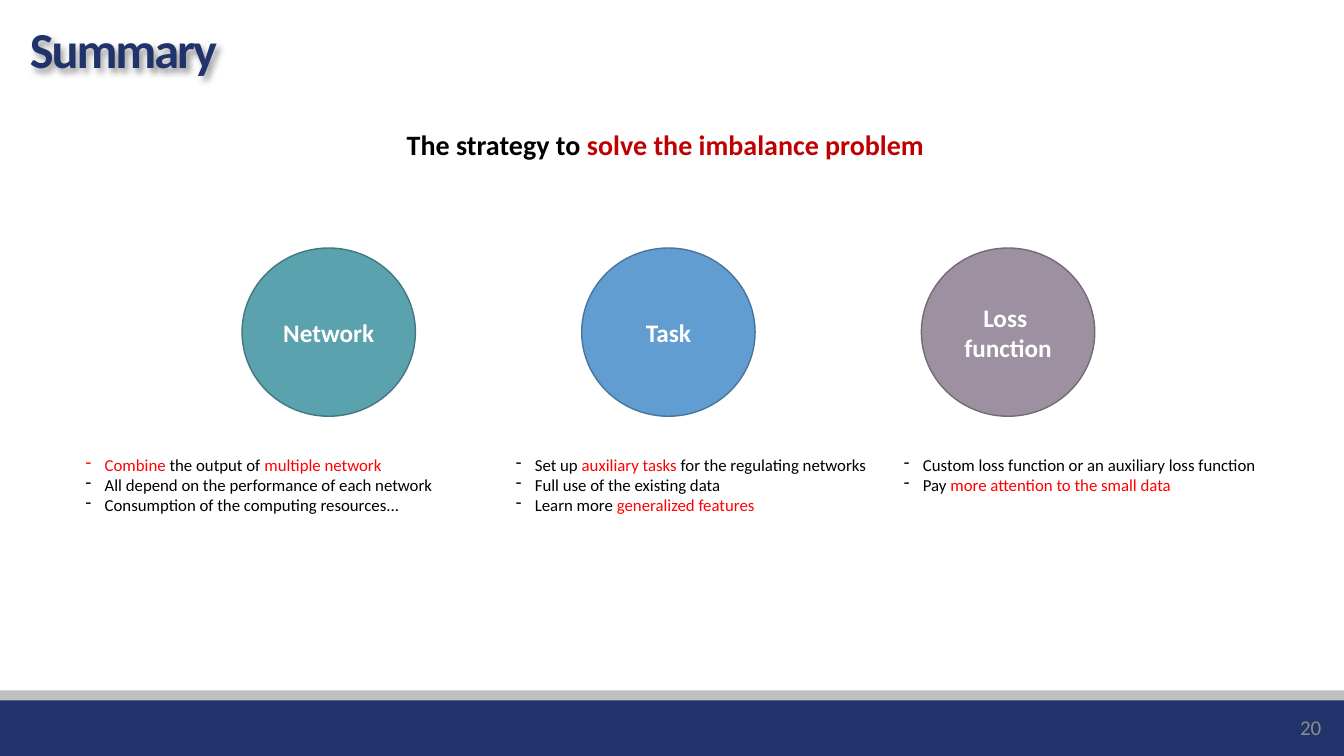
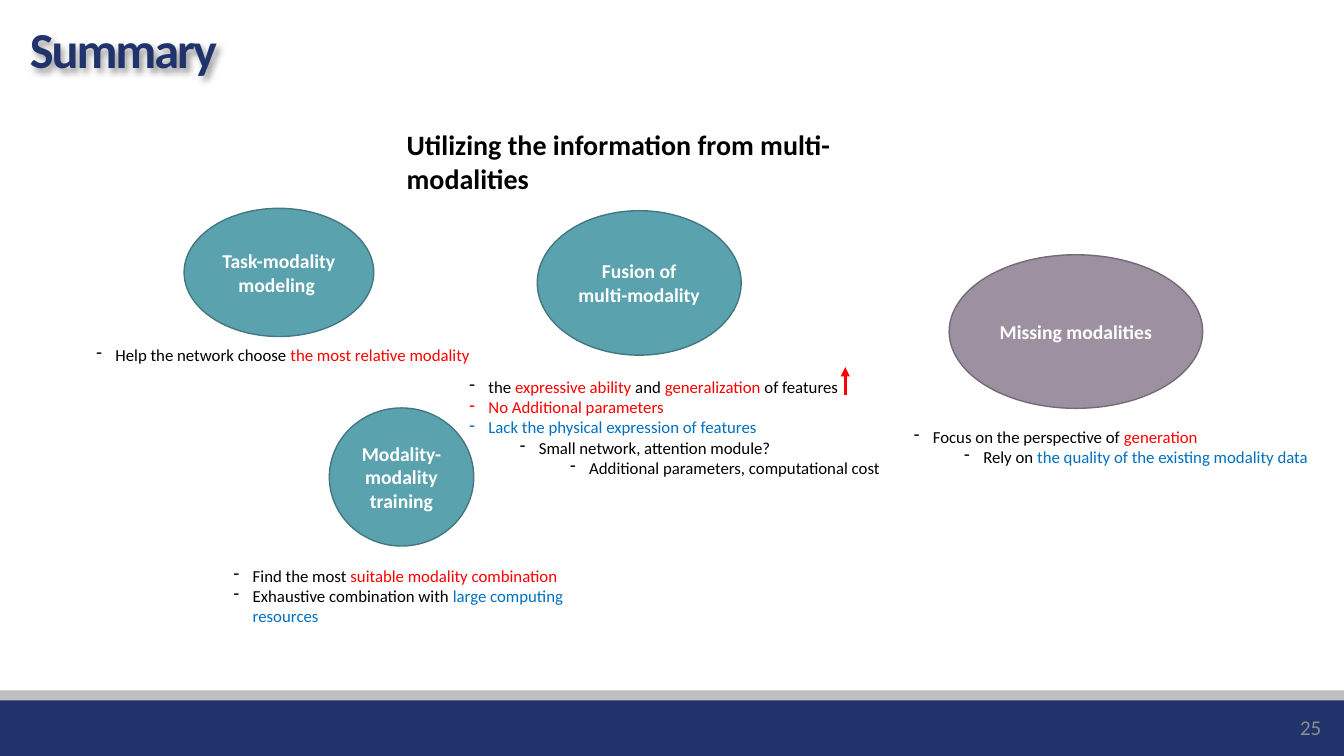
from lxml.etree import SubElement
from pptx import Presentation
from pptx.dml.color import RGBColor
from pptx.enum.shapes import MSO_CONNECTOR as Connector, MSO_SHAPE as Shape
from pptx.enum.text import MSO_ANCHOR as Anchor, MSO_AUTO_SIZE as AutoSize, PP_ALIGN as Align
from pptx.oxml.ns import qn
from pptx.util import Cm, Pt

WIDTH, HEIGHT = 33.87, 19.05
FONT = "Calibri"
COLORS = {
    "navy": "20346B", "silver": "BFBFBF", "gray": "8C8C8C",
    "black": "000000", "white": "FFFFFF",
    "red": "FF0000", "crimson": "C00000", "blue": "0070C0",
    "teal": "5AA2AE", "teal edge": "437881",
    "sky": "629DD1", "sky edge": "49749B",
    "mauve": "9D90A0", "mauve edge": "746B76",
}


def color(name):
    return RGBColor.from_string(COLORS[name])


class SummaryDeck:
    """Holds the shared style and the slide being filled."""

    def __init__(self):
        self.deck = Presentation()
        self.deck.slide_width, self.deck.slide_height = Cm(WIDTH), Cm(HEIGHT)
        self.page = None

    def start_page(self, title, number, heading):
        self.page = self.deck.slides.add_slide(self.deck.slide_layouts[5])
        self.band(17.4, "silver")
        self.band(17.65, "navy")
        self.page_number(number)
        self.title(title)
        self.heading(heading)

    def band(self, top, fill):
        """Fill the page with one colour from top down to the lower edge."""
        self.shape(Shape.RECTANGLE, 0, top, WIDTH, HEIGHT - top, fill)

    def shape(self, kind, left, top, width, height, fill, edge=None):
        shape = self.page.shapes.add_shape(kind, Cm(left), Cm(top), Cm(width), Cm(height))
        shape.shadow.inherit = False
        shape.fill.solid()
        shape.fill.fore_color.rgb = color(fill)
        if edge:
            shape.line.color.rgb = color(edge)
            shape.line.width = Pt(1)
        else:
            shape.line.fill.background()
        return shape

    def text_box(self, left, top, width, height, wrap=True):
        box = self.page.shapes.add_textbox(Cm(left), Cm(top), Cm(width), Cm(height))
        box.text_frame.word_wrap = wrap
        box.text_frame.auto_size = AutoSize.SHAPE_TO_FIT_TEXT
        return box.text_frame

    def spans(self, para, spans, size, bold=False):
        """Add (text, colour) pairs to a paragraph as runs."""
        for text, shade in spans:
            span = para.add_run()
            span.text = text
            span.font.name, span.font.size, span.font.bold = FONT, Pt(size), bold
            span.font.color.rgb = color(shade)

    def paragraphs(self, frame, count):
        return [frame.paragraphs[0]] + [frame.add_paragraph() for _ in range(count - 1)]

    def title(self, text):
        box = self.page.shapes.title
        box.left, box.top, box.width, box.height = Cm(0.5), Cm(0.53), Cm(32.65), Cm(1.57)
        frame = box.text_frame
        frame.vertical_anchor, frame.auto_size = Anchor.MIDDLE, AutoSize.NONE
        para = frame.paragraphs[0]
        para.alignment, para.line_spacing = Align.LEFT, 0.9
        self.spans(para, [(text, "navy")], 36, bold=True)
        para.runs[0].font._element.set("spc", "-150")
        effects = SubElement(box._element.spPr, qn("a:effectLst"))
        shadow = SubElement(effects, qn("a:outerShdw"), blurRad="50800", dist="38100",
                            dir="2700000", algn="tl", rotWithShape="0")
        tint = SubElement(shadow, qn("a:srgbClr"), val=COLORS["black"])
        SubElement(tint, qn("a:alpha"), val="40000")

    def heading(self, spans):
        frame = self.text_box(10, 3.1, 13.67, 1.11, wrap=False)
        self.spans(frame.paragraphs[0], spans, 20, bold=True)

    def page_number(self, number):
        frame = self.text_box(25.93, 17.81, 7.62, 1.01)
        frame.auto_size, frame.vertical_anchor = AutoSize.NONE, Anchor.MIDDLE
        frame.paragraphs[0].alignment = Align.RIGHT
        self.spans(frame.paragraphs[0], [(str(number), "gray")], 15)

    def ellipse(self, left, top, width, height, fill, lines, size=14):
        shape = self.shape(Shape.OVAL, left, top, width, height, fill, fill + " edge")
        frame = shape.text_frame
        frame.word_wrap, frame.vertical_anchor = True, Anchor.MIDDLE
        for para, line in zip(self.paragraphs(frame, len(lines)), lines):
            para.alignment = Align.CENTER
            self.spans(para, [(line, "white")], size, bold=True)

    def bullets(self, left, top, width, items):
        """Write dashed items, each given as (level, spans)."""
        frame = self.text_box(left, top, width, 0.25 + 0.51 * len(items))
        for para, (level, spans) in zip(self.paragraphs(frame, len(items)), items):
            para.level = level
            props = para._p.get_or_add_pPr()
            props.set("marL", str(Cm(0.48 + 1.27 * level)))
            props.set("indent", str(-Cm(0.48)))
            SubElement(props, qn("a:buFontTx"))
            SubElement(props, qn("a:buChar"), char="-")
            self.spans(para, spans, 12)

    def up_arrow(self, x, bottom, top):
        arrow = self.page.shapes.add_connector(
            Connector.STRAIGHT, Cm(x), Cm(bottom), Cm(x), Cm(top))
        arrow.line.color.rgb = color("red")
        arrow.line.width = Pt(2.25)
        SubElement(arrow.line._get_or_add_ln(), qn("a:tailEnd"), type="triangle")
        SubElement(arrow._element.spPr, qn("a:effectLst"))


def imbalance_page(deck):
    deck.start_page("Summary", 20, [("The strategy to ", "black"),
                                    ("solve the imbalance problem", "crimson")])
    strategies = [
        ("teal", ["Network"], 1.91, 10.82, [
            (0, [("Combine", "red"), (" the output of ", "black"),
                 ("multiple network", "red")]),
            (0, [("All depend on the performance of each network", "black")]),
            (0, [("Consumption of the computing resources...", "black")]),
        ]),
        ("sky", ["Task"], 12.75, 9.8, [
            (0, [("Set up ", "black"), ("auxiliary tasks ", "red"),
                 ("for the regulating networks", "black")]),
            (0, [("Full use of the existing data", "black")]),
            (0, [("Learn more ", "black"), ("generalized features", "red")]),
        ]),
        ("mauve", ["Loss ", "function"], 22.53, 10.82, [
            (0, [("Custom loss function or an auxiliary loss function", "black")]),
            (0, [("Pay ", "black"), ("more attention to the small data", "red")]),
        ]),
    ]
    for index, (fill, lines, left, width, items) in enumerate(strategies):
        deck.ellipse(6.1 + 8.56 * index, 6.25, 4.37, 4.24, fill, lines, size=18)
        deck.bullets(left, 11.33, width, items)


def modalities_page(deck):
    deck.start_page("Summary", 25,
                    [("Utilizing the information from multi-modalities", "black")])
    deck.ellipse(4.64, 5.25, 4.78, 3.23, "teal", ["Task-modality modeling "])
    deck.bullets(2.18, 8.56, 10.82, [
        (0, [("Help the network choose ", "black"), ("the most relative modality", "red")]),
    ])
    deck.ellipse(8.3, 10.28, 3.64, 3.48, "teal", ["Modality-modality training"])
    deck.bullets(5.64, 14.12, 8.94, [
        (0, [("Find the most ", "black"), ("suitable modality combination", "red")]),
        (0, [("Exhaustive combination with ", "black"), ("large computing resources", "blue")]),
    ])
    deck.ellipse(23.92, 6.42, 6.39, 3.87, "mauve", ["Missing modalities"])
    deck.bullets(22.78, 10.62, 10.82, [
        (0, [("Focus on the perspective of ", "black"), ("generation", "red")]),
        (1, [("Rely on ", "black"), ("the quality of the existing modality data", "blue")]),
    ])
    deck.ellipse(13.54, 5.31, 5.14, 3.64, "teal", ["Fusion of multi-modality"])
    deck.bullets(11.58, 9.37, 11.2, [
        (0, [("the ", "black"), ("expressive ability", "red"), (" and ", "black"),
             ("generalization", "red"), (" of features", "black")]),
        (0, [("No Additional parameters", "red")]),
        (0, [("Lack the physical expression of features", "blue")]),
        (1, [("Small network, attention module?", "black")]),
        (2, [("Additional parameters, computational cost", "black")]),
    ])
    deck.up_arrow(21.3, 9.96, 9.25)


def main():
    summary = SummaryDeck()
    imbalance_page(summary)
    modalities_page(summary)
    summary.deck.save("out.pptx")


if __name__ == "__main__":
    main()
